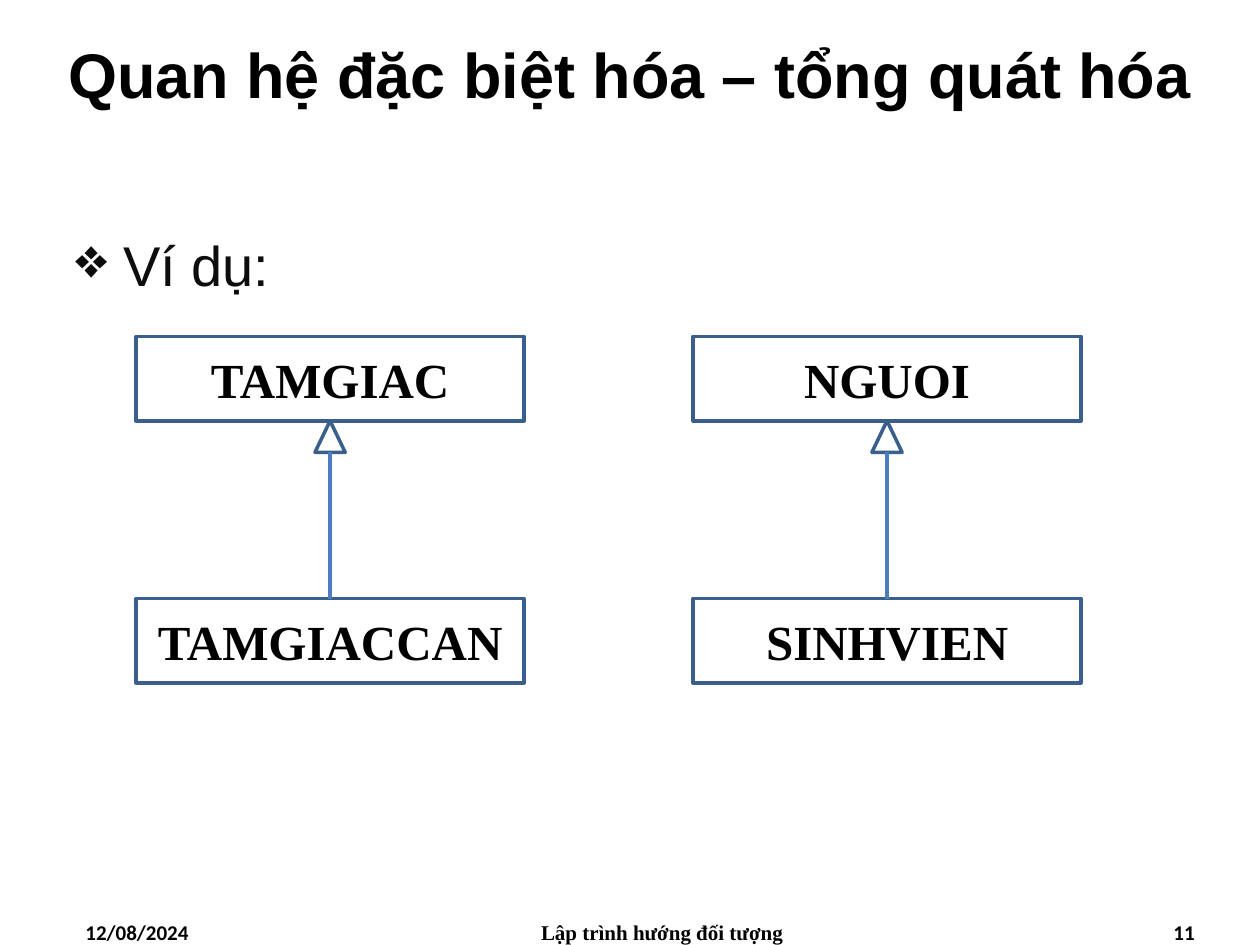
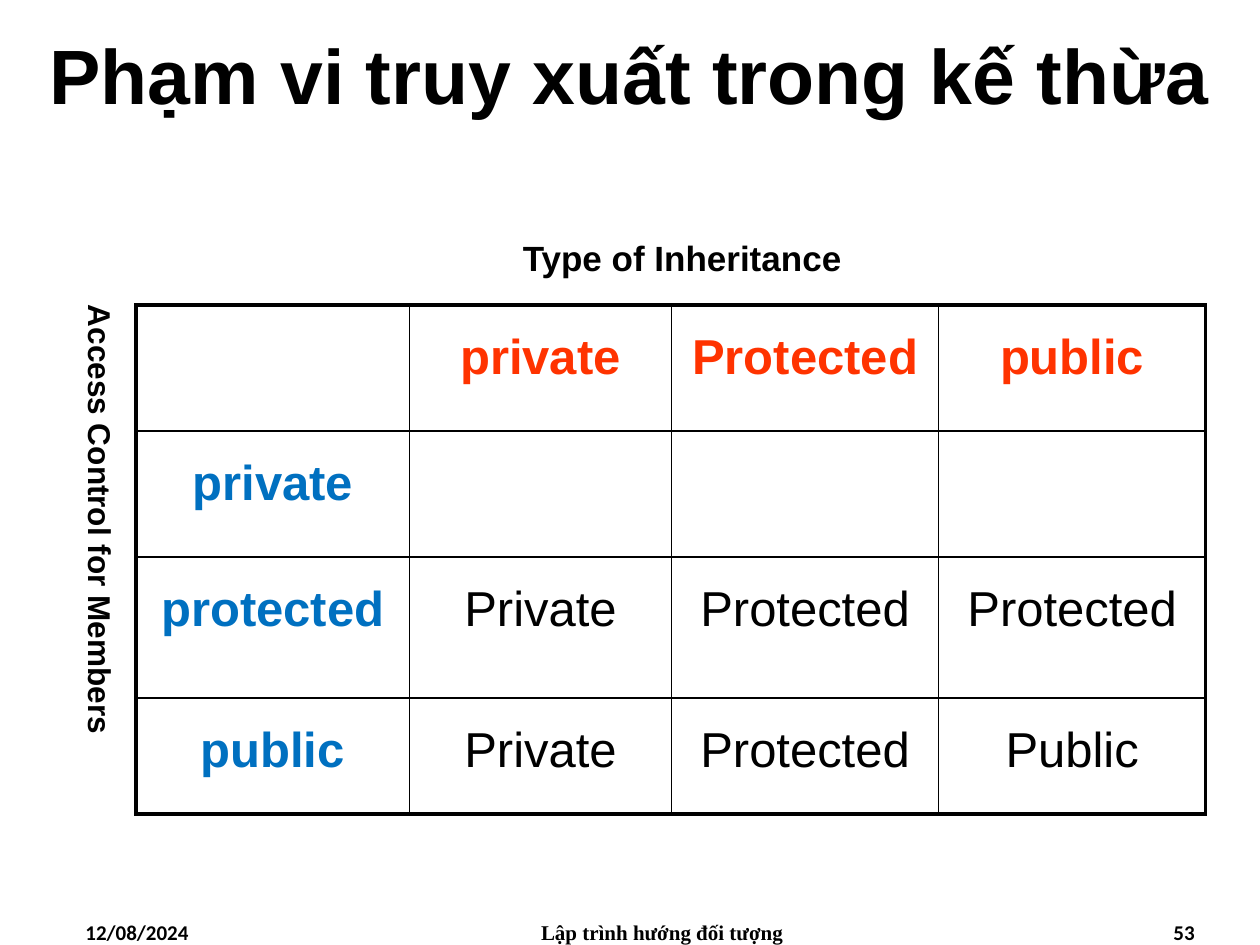
"""Build two slides on inheritance: class diagrams and an access table."""
from lxml.etree import SubElement
from pptx import Presentation
from pptx.dml.color import RGBColor
from pptx.enum.shapes import MSO_CONNECTOR, MSO_SHAPE
from pptx.enum.text import MSO_ANCHOR, PP_ALIGN
from pptx.oxml.ns import qn
from pptx.util import Inches, Pt

COLORS = {
    "text": "000000",
    "body": "0D0D0D",
    "outline": "3A5F8C",
    "connector": "4B7EBC",
    "inheritance": "FF3300",
    "member": "0070C0",
}


def write(frame, text, size, font="Arial", color="text", bold=True, align=PP_ALIGN.CENTER):
    frame.word_wrap = True
    paragraph = frame.paragraphs[0]
    paragraph.text = text
    paragraph.alignment = align
    paragraph.font.size = Pt(size)
    paragraph.font.name = font
    paragraph.font.bold = bold
    paragraph.font.color.rgb = RGBColor.from_string(COLORS[color])
    return paragraph


def add_text(slide, box, text, size, **style):
    frame = slide.shapes.add_textbox(*map(Inches, box)).text_frame
    write(frame, text, size, **style)
    return frame


presentation = Presentation()
presentation.slide_width = Inches(10)
presentation.slide_height = Inches(7.5)

slides = []
for title, title_size, number in [
    ("Quan hệ đặc biệt hóa – tổng quát hóa", 36, "11"),
    ("Phạm vi truy xuất trong kế thừa", 44, "53"),
]:
    slide = presentation.slides.add_slide(presentation.slide_layouts[6])
    slides.append(slide)
    title_frame = add_text(slide, (0, 0, 10, 1.17), title, title_size)
    title_frame.vertical_anchor = MSO_ANCHOR.MIDDLE
    for left, width, text, font, align in [
        (0.58, 2.33, "12/08/2024", "Calibri", PP_ALIGN.LEFT),
        (3.67, 3.17, "Lập trình hướng đối tượng", "Times New Roman", PP_ALIGN.CENTER),
        (7.25, 2.33, number, "Calibri", PP_ALIGN.RIGHT),
    ]:
        add_text(slide, (left, 7.25, width, 0.25), text, 12, font=font, align=align)

diagram_slide, table_slide = slides

body_frame = diagram_slide.shapes.add_textbox(
    Inches(0.5), Inches(1.62), Inches(9.17), Inches(5.35)
).text_frame
properties = body_frame.paragraphs[0]._p.get_or_add_pPr()
properties.set("marL", str(Inches(0.38)))
properties.set("indent", str(-Inches(0.38)))
SubElement(properties, qn("a:buChar"), char="❖")
paragraph = write(body_frame, "Ví dụ:", 32, color="body", bold=False, align=PP_ALIGN.JUSTIFY)
paragraph.line_spacing = 1.3

box_width, box_height, parent_top, child_top = 3.08, 0.67, 2.67, 4.75
arrow_width, arrow_height = 0.24, 0.25
for left, parent, child in [(1.08, "TAMGIAC", "TAMGIACCAN"), (5.5, "NGUOI", "SINHVIEN")]:
    shapes = diagram_slide.shapes.add_group_shape().shapes
    center = left + box_width / 2
    arrow_top = parent_top + box_height
    for kind, box, name in [
        (MSO_SHAPE.RECTANGLE, (left, parent_top, box_width, box_height), parent),
        (MSO_SHAPE.RECTANGLE, (left, child_top, box_width, box_height), child),
        (MSO_SHAPE.ISOSCELES_TRIANGLE,
         (center - arrow_width / 2, arrow_top, arrow_width, arrow_height), ""),
    ]:
        shape = shapes.add_shape(kind, *map(Inches, box))
        shape.shadow.inherit = False
        shape.fill.background()
        shape.line.color.rgb = RGBColor.from_string(COLORS["outline"])
        shape.line.width = Pt(2)
        if name:
            write(shape.text_frame, name, 28, font="Times New Roman")
            shape.text_frame.vertical_anchor = MSO_ANCHOR.MIDDLE
    connector = shapes.add_connector(
        MSO_CONNECTOR.STRAIGHT, Inches(center), Inches(child_top),
        Inches(center), Inches(arrow_top + arrow_height),
    )
    connector.line.color.rgb = RGBColor.from_string(COLORS["connector"])
    connector.line.width = Pt(2)
    SubElement(connector._element.spPr, qn("a:effectLst"))

access_rows = [
    ["", "private", "Protected", "public"],
    ["private", "", "", ""],
    ["protected", "Private", "Protected", "Protected"],
    ["public", "Private", "Protected", "Public"],
]
column_widths = [2.17, 2.08, 2.12, 2.12]
row_heights = [1, 1, 1.12, 0.92]
table = table_slide.shapes.add_table(
    4, 4, Inches(1.08), Inches(2.42), Inches(sum(column_widths)), Inches(sum(row_heights))
).table
table.first_row = False
table.horz_banding = False
for column, width in zip(table.columns, column_widths):
    column.width = Inches(width)
for row, height in zip(table.rows, row_heights):
    row.height = Inches(height)

for row_index, row_texts in enumerate(access_rows):
    for column_index, text in enumerate(row_texts):
        cell = table.cell(row_index, column_index)
        cell.margin_top = Inches(0.2)
        color = "inheritance" if row_index == 0 else "member" if column_index == 0 else "text"
        if text:
            write(cell.text_frame, text, 28, color=color, bold=color != "text")
        cell_properties = cell._tc.get_or_add_tcPr()
        for side, outer in [
            ("L", column_index == 0), ("R", column_index == 3),
            ("T", row_index == 0), ("B", row_index == 3),
        ]:
            width = Pt(2.25 if outer else 1)
            border = SubElement(cell_properties, qn(f"a:ln{side}"), w=str(width))
            fill = SubElement(border, qn("a:solidFill"))
            SubElement(fill, qn("a:srgbClr"), val=COLORS["text"])
        cell.fill.background()

add_text(table_slide, (3.75, 1.83, 3.33, 0.44), "Type of Inheritance", 20)
side_frame = add_text(table_slide, (0.5, 2.42, 0.5, 3.58), "Access Control for Members", 18)
side_frame.margin_top = side_frame.margin_bottom = 0
side_frame._txBody.bodyPr.set("vert", "eaVert")

presentation.save("out.pptx")
